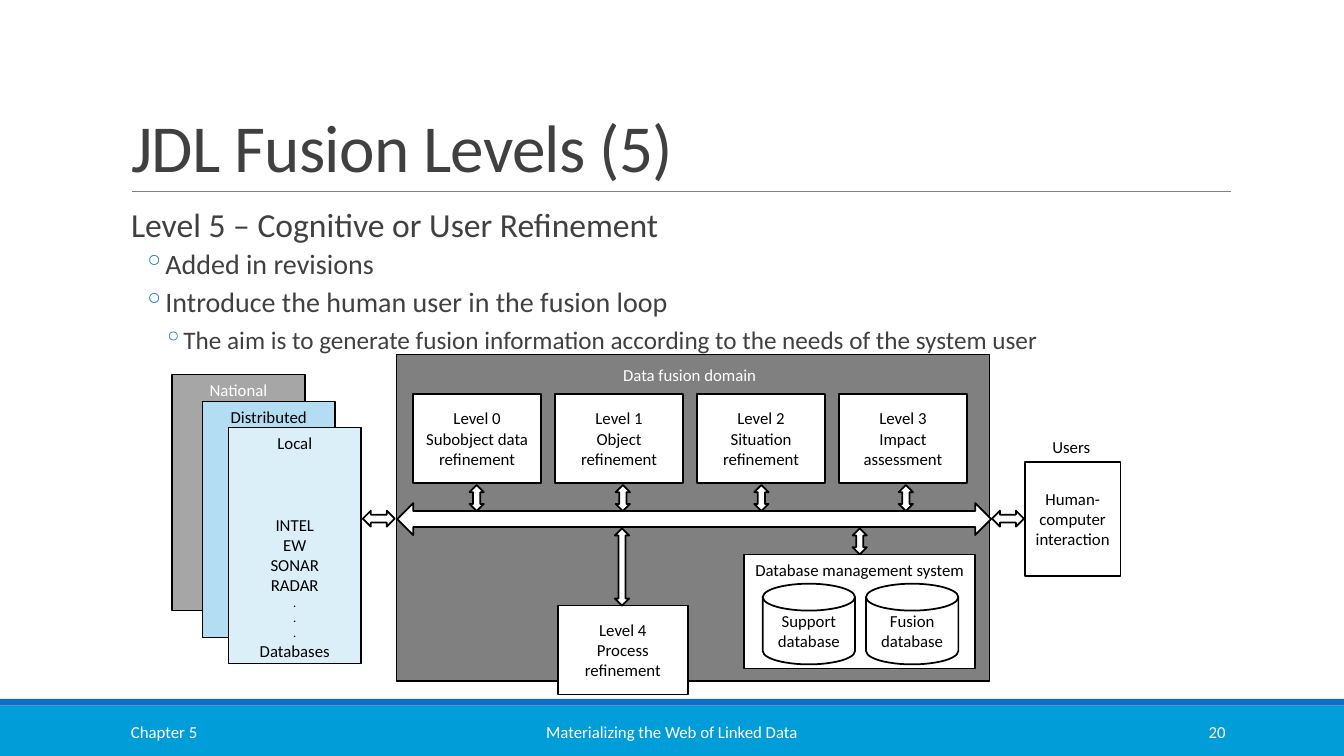
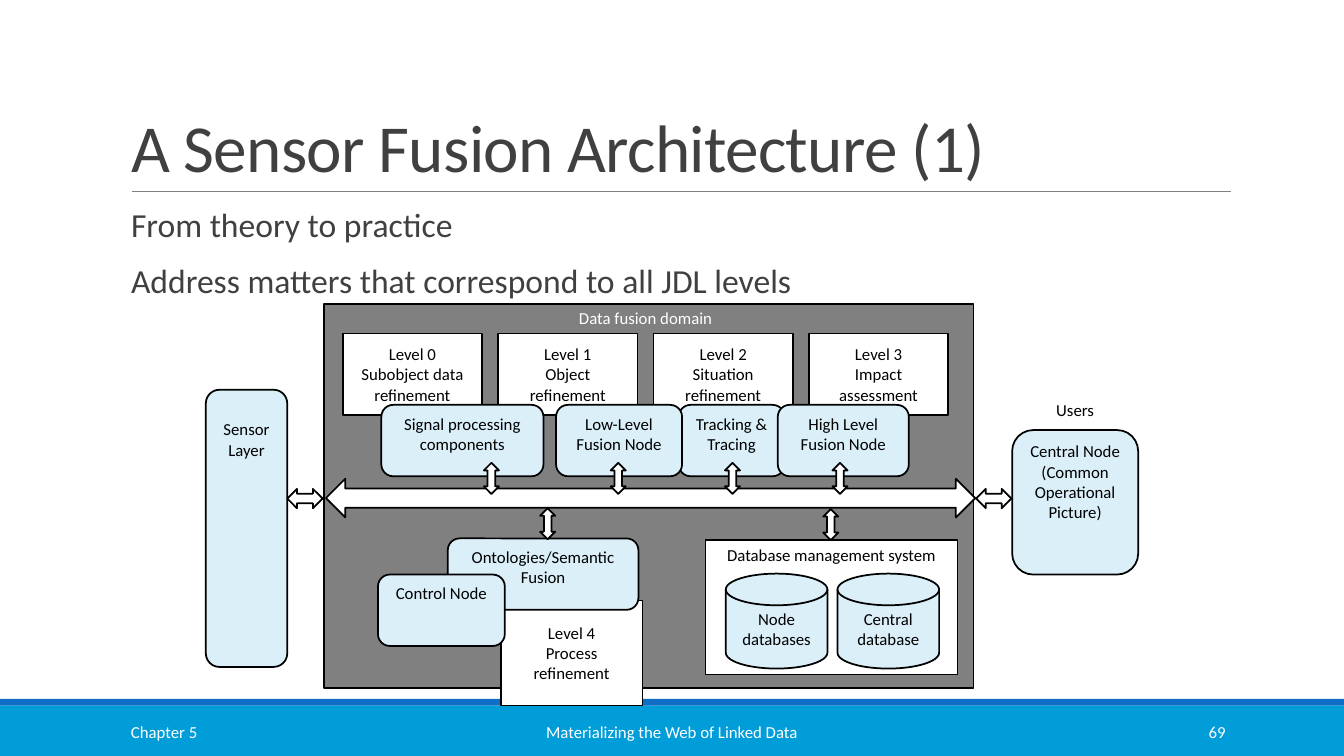
import pptx
import pptx.dml.color
import pptx.enum.shapes
import pptx.enum.text
import pptx.oxml.ns
import pptx.util
import lxml.etree

COLORS = {
    "white": "FFFFFF", "black": "000000", "text": "404040", "rule": "808080",
    "band": "009DD9", "strip": "0F6FC6", "domain": "808080",
    "national": "A6A6A6", "distributed": "B3DDF2", "pale": "DBEFF9",
}
FONT = "Calibri"
FORMS = pptx.enum.shapes.MSO_SHAPE
ANCHORS = pptx.enum.text.MSO_ANCHOR
ALIGNS = pptx.enum.text.PP_ALIGN
TOP, MIDDLE = ANCHORS.TOP, ANCHORS.MIDDLE

deck = pptx.Presentation()
deck.slide_width = pptx.util.Inches(13.333)
deck.slide_height = pptx.util.Inches(7.5)
# All places are (column, row, columns wide, rows high) on a grid of 160 by 90 cells.
CELL = deck.slide_width / 160


def style(font, size, color):
    font.name = FONT
    font.size = pptx.util.Pt(size)
    font.color.rgb = pptx.dml.color.RGBColor.from_string(COLORS[color])


def block(page, form, at, fill=None, lines=(), color="black", anchor=TOP,
          align=ALIGNS.CENTER, outline=True, inset=3.6):
    """Add a shape, or a text box when form is None; a line is text or (text, size, gap)."""
    place = [round(value * CELL) for value in at]
    if form is None:
        box = page.shapes.add_textbox(*place)
    else:
        box = page.shapes.add_shape(form, *place)
        box.shadow.inherit = False
        box.fill.solid()
        box.fill.fore_color.rgb = pptx.dml.color.RGBColor.from_string(COLORS[fill])
        if outline:
            box.line.color.rgb = pptx.dml.color.RGBColor.from_string(COLORS["black"])
            box.line.width = pptx.util.Pt(1.25)
        else:
            box.line.fill.background()
    frame = box.text_frame
    frame.word_wrap = True
    frame.vertical_anchor = anchor
    frame.margin_top = pptx.util.Pt(inset)
    for index, line in enumerate(lines):
        text, size, gap = (line, 12, 0) if isinstance(line, str) else line
        para = frame.paragraphs[0] if index == 0 else frame.add_paragraph()
        para.alignment = align
        para.space_before = pptx.util.Pt(gap)
        span = para.add_run()
        span.text = text
        style(span.font, size, color)
    return box


LEVELS = ["Subobject data refinement", "Object refinement",
          "Situation refinement", "Impact assessment"]
# Outline level: left margin and hanging indent in inches, size, space before and after.
OUTLINE = [(0.1, 0, 24, 12, 2), (0.42, -0.2, 20, 2, 4), (0.62, -0.2, 18, 2, 4)]
STACK, NODE = (15.8, 28.1), 8.5

slides = [
    {
        "title": "JDL Fusion Levels (5)",
        "number": "20",
        "points": [
            (0, "Level 5 – Cognitive or User Refinement"),
            (1, "Added in revisions"),
            (1, "Introduce the human user in the fusion loop"),
            (2, "The aim is to generate fusion information according to "
                "the needs of the system user"),
        ],
        "domain": (47.2, 42.2, 70.6, 38.9),
        "domain label": (72.8, 42.8, 18.6, 3.6),
        "first level": (49.2, 46.9, 15.2, 10.6),
        "level step": 16.9,
        "level 4": (66.4, 72.1, 15.5, 10.6),
        "users": (123.6, 51.4, 7.9, 3.6),
        "management": (88.6, 66, 27.5, 13.6),
        "first disk": (90.8, 69.5, 11, 9.6),
        "disk step": 12.3,
        "disk fill": "white",
        "disks": [["Support database"], ["Fusion database"]],
        "nodes": [
            (FORMS.RECTANGLE, (20.5, 44.6, *STACK), "national", ["National"],
             {"color": "white"}),
            (FORMS.RECTANGLE, (24.1, 47.8, *STACK), "distributed", ["Distributed"], {}),
            (FORMS.RECTANGLE, (27.2, 50.9, *STACK), "pale",
             ["Local", ("INTEL", 12, 44), "EW", "SONAR", "RADAR",
              *[(".", 9, 0)] * 3, "Databases"], {}),
            (FORMS.RECTANGLE, (122, 55, 11.4, 13.6), "white",
             ["Human-computer interaction"], {"anchor": MIDDLE}),
        ],
        "level arrows": [
            (43.2, 60.8, 3.8, 1.9), (47.3, 59.9, 70.7, 3.8), (118.1, 60.8, 3.8, 1.9)],
        "upright arrows": [
            *[(column, 57.75, 1.7, 3.1) for column in (55.9, 73.3, 89.8, 107)],
            (73.2, 62.9, 1.7, 9.2), (101.5, 62.9, 1.7, 3.1)],
    },
    {
        "title": "A Sensor Fusion Architecture (1)",
        "number": "69",
        "points": [
            (0, "From theory to practice"),
            (0, "Address matters that correspond to all JDL levels"),
        ],
        "domain": (38.6, 36.2, 77.3, 45.7),
        "domain label": (66.7, 36, 20.3, 3.6),
        "first level": (40.8, 39.7, 16.6, 9.7),
        "level step": 18.5,
        "level 4": (59.6, 71.5, 16.9, 12.5),
        "users": (123.7, 47, 8.6, 4.3),
        "management": (84, 64.3, 30, 16),
        "first disk": (86.4, 68.3, 12.1, 11.3),
        "disk step": 13.3,
        "disk fill": "pale",
        "disks": [["Node", "databases"], ["Central", "database"]],
        "nodes": [
            (FORMS.ROUNDED_RECTANGLE, at, "pale", lines, options)
            for at, lines, options in [
                ((24.5, 46.4, 9.7, 33), ["Sensor", "Layer"], {"inset": 18.2}),
                ((45.4, 48.2, 19.3, NODE), ["Signal processing components"], {}),
                ((80.8, 48.2, 12.6, NODE), ["Tracking & Tracing"], {}),
                ((92.6, 48.2, 15.6, NODE), ["High Level Fusion Node"], {}),
                ((66.2, 48.2, 15, NODE), ["Low-Level Fusion Node"], {}),
                ((120.5, 51.2, 15, 17.2),
                 ["Central Node (Common Operational Picture)"], {}),
                ((53.3, 64.1, 22.7, NODE), ["Ontologies/Semantic Fusion"], {}),
                ((45, 68.4, 15.1, NODE), ["Control Node"], {}),
            ]
        ],
        "level arrows": [
            (34.2, 58.2, 4.2, 2.3), (38.8, 57, 77.3, 4.6), (116.2, 58.2, 4.2, 2.3)],
        "upright arrows": [
            *[(column, 55.1, 1.8, 3.7) for column in (57.6, 72.7, 86.3, 99.1)],
            (64.3, 60.5, 1.8, 3.7), (98, 60.6, 1.8, 3.7)],
    },
]

layout = deck.slide_layouts[5]
for old in list(layout.placeholders):
    if old.placeholder_format.type != pptx.enum.shapes.PP_PLACEHOLDER.TITLE:
        old.element.getparent().remove(old.element)

for position, slide in enumerate(slides):
    page = deck.slides.add_slide(layout)

    # The bands and the title rule are drawn once and moved to the shared layout.
    if position == 0:
        rule = page.shapes.add_connector(
            pptx.enum.shapes.MSO_CONNECTOR.STRAIGHT,
            *[round(value * CELL) for value in (15.75, 22.8, 146.5, 22.8)])
        rule.line.color.rgb = pptx.dml.color.RGBColor.from_string(COLORS["rule"])
        rule.line.width = pptx.util.Pt(0.5)
        lxml.etree.SubElement(rule.element.spPr, pptx.oxml.ns.qn("a:effectLst"))
        shared = [
            block(page, FORMS.RECTANGLE, (0, 84, 160, 6), "band", outline=False),
            block(page, FORMS.RECTANGLE, (0, 83.2, 160, 0.8), "strip", outline=False),
            rule,
        ]
        for index, part in enumerate(shared):
            part.element.xpath(".//p:cNvPr")[0].set("id", str(20 + index))
            layout.shapes.element.append(part.element)

    title = page.shapes.title
    title.left, title.top, title.width, title.height = [
        round(value * CELL) for value in (14.4, 3.7, 132, 19.1)]
    title.text_frame.auto_size = pptx.enum.text.MSO_AUTO_SIZE.NONE
    title.text_frame.vertical_anchor = ANCHORS.BOTTOM
    para = title.text_frame.paragraphs[0]
    para.alignment = ALIGNS.LEFT
    para.line_spacing = 0.85
    span = para.add_run()
    span.text = slide["title"]
    style(span.font, 48, "text")
    span.font.element.set("spc", "-50") if hasattr(span.font, "element") else \
        para.runs[0].font._element.set("spc", "-50")

    body = block(page, None, (14.4, 24.2, 132, 52.8)).text_frame
    body.margin_left = body.margin_right = 0
    for index, (level, text) in enumerate(slide["points"]):
        margin, indent, size, before, after = OUTLINE[level]
        para = body.paragraphs[0] if index == 0 else body.add_paragraph()
        para.line_spacing = 0.9
        para.space_before = pptx.util.Pt(before)
        para.space_after = pptx.util.Pt(after)
        span = para.add_run()
        span.text = text
        style(span.font, size, "text")
        props = para._p.get_or_add_pPr()
        props.set("marL", str(pptx.util.Inches(margin)))
        props.set("indent", str(pptx.util.Inches(indent)))
        if level:
            tint = lxml.etree.SubElement(props, pptx.oxml.ns.qn("a:buClr"))
            lxml.etree.SubElement(
                tint, pptx.oxml.ns.qn("a:srgbClr"), val=COLORS["strip"])
            lxml.etree.SubElement(props, pptx.oxml.ns.qn("a:buChar"), char="◦")

    for column, width, text, align in [
        (14.4, 32.4, "Chapter 5", ALIGNS.LEFT),
        (48.4, 63.2, "Materializing the Web of Linked Data", ALIGNS.CENTER),
        (130, 17.1, slide["number"], ALIGNS.RIGHT),
    ]:
        block(page, None, (column, 84.7, width, 4.8), lines=[text], color="white",
              anchor=MIDDLE, align=align)

    block(page, FORMS.RECTANGLE, slide["domain"], "domain")
    block(page, None, slide["domain label"], lines=["Data fusion domain"], color="white")
    left, top, width, height = slide["first level"]
    for index, text in enumerate(LEVELS):
        block(page, FORMS.RECTANGLE,
              (left + index * slide["level step"], top, width, height),
              "white", [f"Level {index}", text], anchor=MIDDLE)
    block(page, FORMS.RECTANGLE, slide["level 4"], "white",
          ["Level 4", "Process refinement"], anchor=MIDDLE)
    block(page, None, slide["users"], lines=["Users"])

    block(page, FORMS.RECTANGLE, slide["management"], "white",
          ["Database management system"])
    left, top, width, height = slide["first disk"]
    for index, lines in enumerate(slide["disks"]):
        block(page, FORMS.FLOWCHART_MAGNETIC_DISK,
              (left + index * slide["disk step"], top, width, height),
              slide["disk fill"], lines, anchor=MIDDLE)

    for form, at, fill, lines, options in slide["nodes"]:
        block(page, form, at, fill, lines, **options)
    for at in slide["level arrows"]:
        block(page, FORMS.LEFT_RIGHT_ARROW, at, "white")
    for at in slide["upright arrows"]:
        block(page, FORMS.UP_DOWN_ARROW, at, "white")

deck.save("out.pptx")
